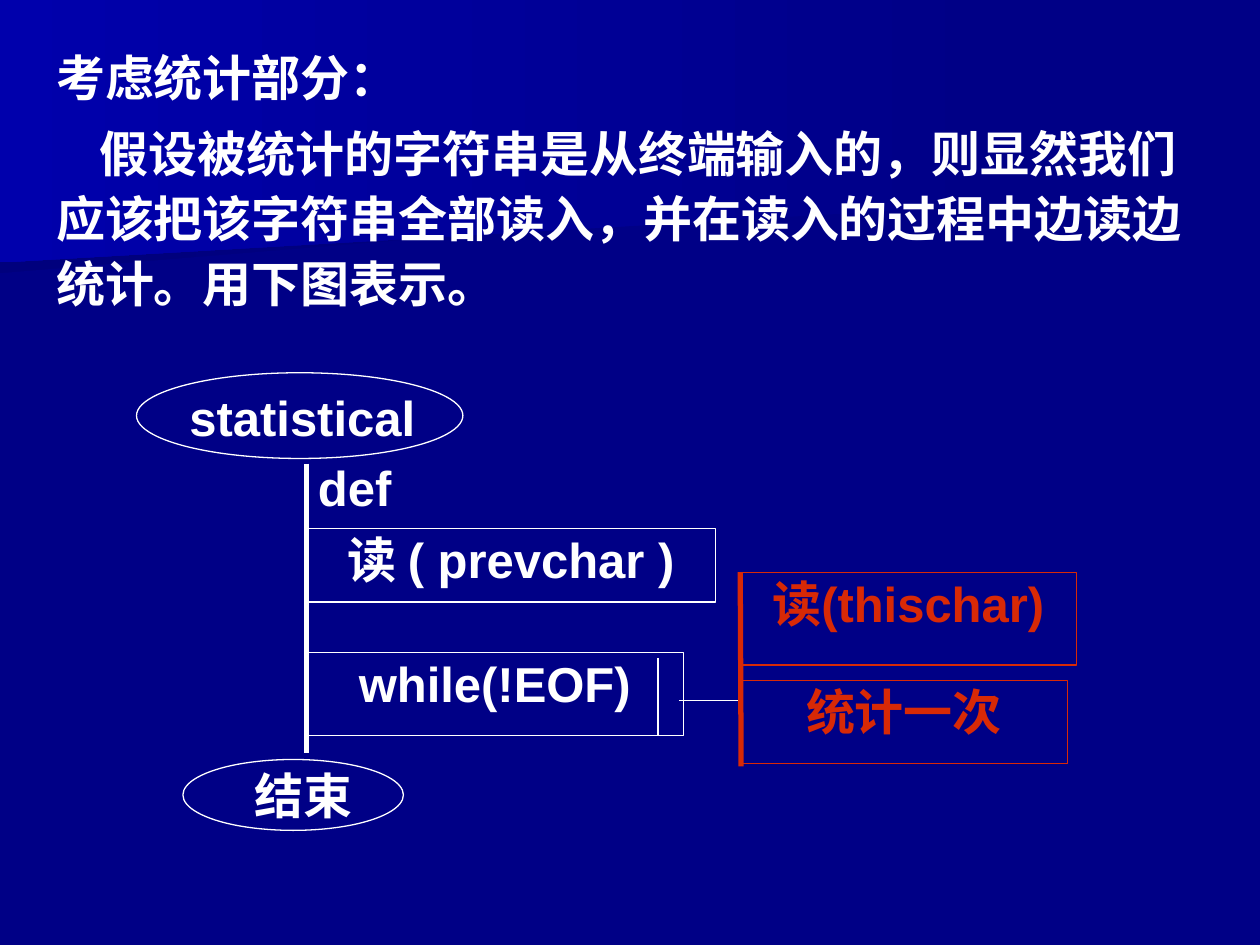
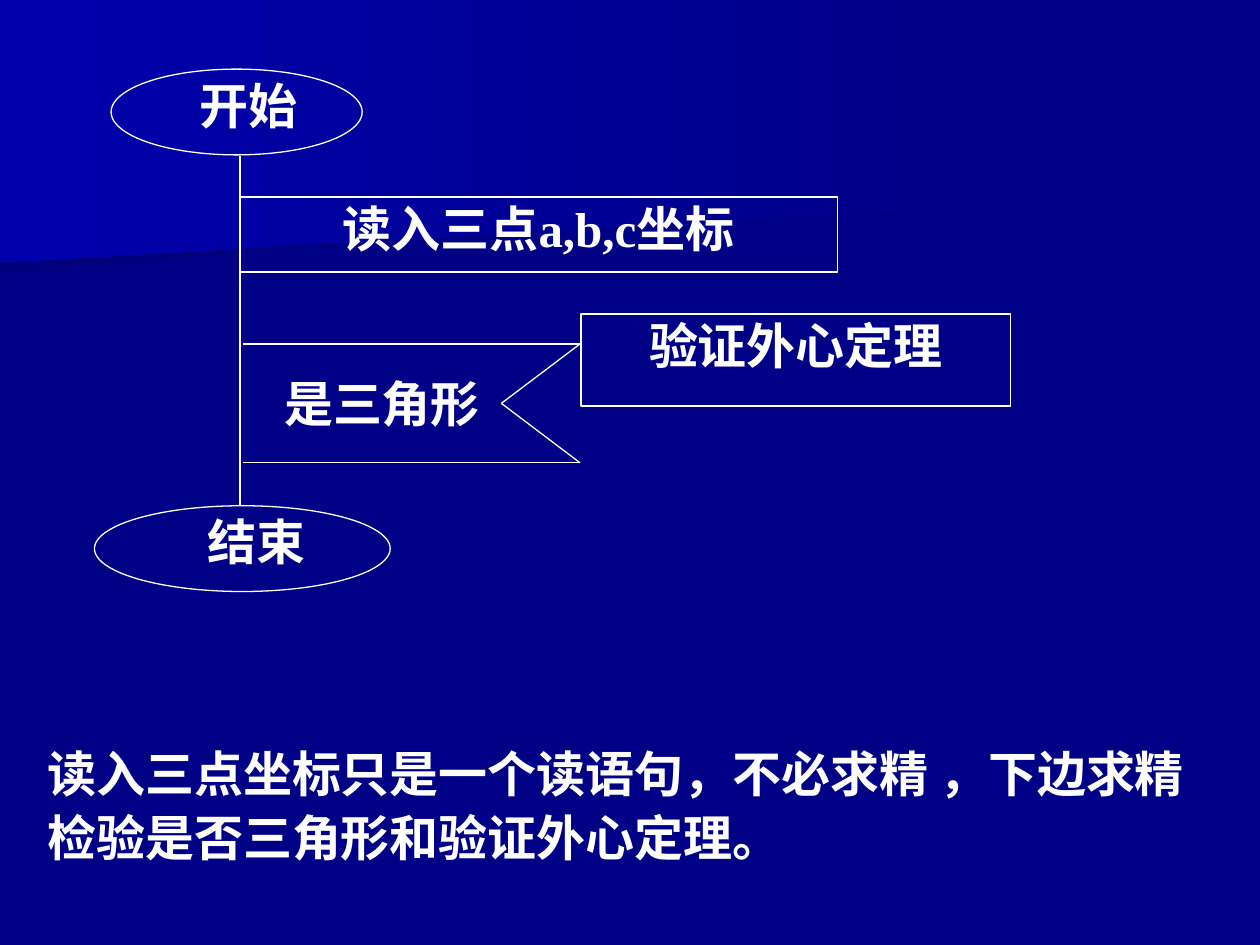
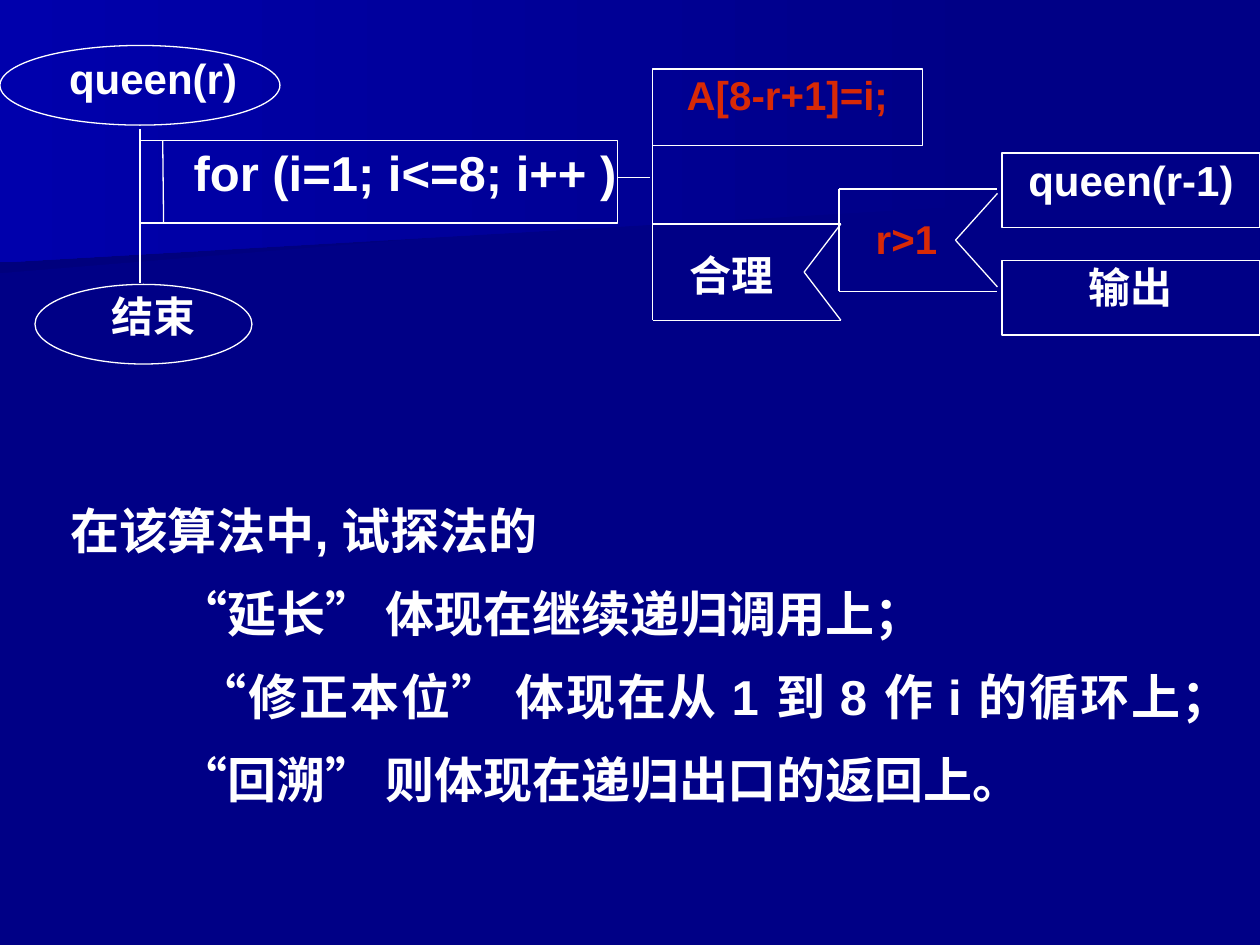
"""Builds three slides of PAD flow diagrams with explanatory text."""

from dataclasses import dataclass
from typing import NamedTuple

from lxml.etree import SubElement
from pptx import Presentation
from pptx.dml.color import RGBColor
from pptx.enum.shapes import MSO_CONNECTOR, MSO_SHAPE
from pptx.enum.text import MSO_ANCHOR, PP_ALIGN
from pptx.oxml.ns import qn
from pptx.presentation import Presentation as PresentationType
from pptx.shapes.base import BaseShape
from pptx.slide import Slide
from pptx.util import Pt


@dataclass(frozen=True)
class Theme:
    background: RGBColor = RGBColor(0x00, 0x00, 0x86)
    band_dark: RGBColor = RGBColor(0x00, 0x00, 0x7D)
    band_bright: RGBColor = RGBColor(0x00, 0x00, 0xAC)
    white: RGBColor = RGBColor(0xFF, 0xFF, 0xFF)
    red: RGBColor = RGBColor(0xD8, 0x29, 0x06)
    sans: str = "Arial"
    serif: str = "Times New Roman"
    body: str = "Roboto"
    large: float = 28
    medium: float = 24
    small: float = 23
    thin: float = 0.75
    spine: float = 1
    thick: float = 3


THEME = Theme()


class Area(NamedTuple):
    left: float
    top: float
    width: float
    height: float


@dataclass(frozen=True)
class Lettering:
    font: str = THEME.sans
    size: float = THEME.large
    color: RGBColor = THEME.white


SANS = Lettering()
SERIF = Lettering(THEME.serif)
MEDIUM = Lettering(size=THEME.medium)
SMALL_RED = Lettering(size=THEME.small, color=THEME.red)
RED = Lettering(color=THEME.red)


@dataclass(frozen=True)
class Label:
    text: str
    area: Area
    lettering: Lettering = SANS
    alignment: PP_ALIGN = PP_ALIGN.CENTER


@dataclass(frozen=True)
class Box(Label):
    outline: RGBColor = THEME.white


@dataclass(frozen=True)
class Terminal:
    label: Label
    oval: Area


@dataclass(frozen=True)
class Stroke:
    start: tuple[float, float]
    end: tuple[float, float]
    width: float = THEME.thin
    color: RGBColor = THEME.white


@dataclass(frozen=True)
class Decision:
    label: Label
    left: float
    top: float
    right: float
    bottom: float
    notch: float
    inset: float = 0
    closed: bool = False


@dataclass(frozen=True)
class Passage:
    area: Area
    lines: tuple[tuple[str, float], ...]
    lettering: Lettering = SANS
    alignment: PP_ALIGN = PP_ALIGN.LEFT
    line_spacing: float = 1.1
    space_before: float = 3.5
    space_after: float = 3.5
    anchor: MSO_ANCHOR = MSO_ANCHOR.TOP


Element = Label | Terminal | Stroke | Decision | Passage


def place(area: Area) -> tuple[Pt, ...]:
    """Convert an area to lengths."""
    return tuple(Pt(value) for value in area)


def write(shape: BaseShape, lines: list[str], lettering: Lettering, alignment: PP_ALIGN) -> None:
    """Fill a shape with bold paragraphs of one lettering."""
    frame = shape.text_frame
    frame.word_wrap = True
    frame.text = "\n".join(lines)
    for paragraph in frame.paragraphs:
        paragraph.alignment = alignment
        paragraph.font.name = lettering.font
        paragraph.font.size = Pt(lettering.size)
        paragraph.font.bold = True
        paragraph.font.color.rgb = lettering.color


def write_label(shape: BaseShape, label: Label) -> None:
    """Write a label at the top of a shape with narrow margins."""
    frame = shape.text_frame
    frame.margin_left = frame.margin_right = frame.margin_top = frame.margin_bottom = Pt(0.7)
    frame.vertical_anchor = MSO_ANCHOR.TOP
    write(shape, [label.text], label.lettering, label.alignment)


def draw_label(slide: Slide, label: Label) -> None:
    """Draw a label without an outline."""
    write_label(slide.shapes.add_textbox(*place(label.area)), label)


def draw_outline(slide: Slide, kind: MSO_SHAPE, area: Area, color: RGBColor) -> BaseShape:
    """Draw an unfilled preset shape."""
    shape = slide.shapes.add_shape(kind, *place(area))
    shape.shadow.inherit = False
    shape.fill.background()
    shape.line.color.rgb = color
    shape.line.width = Pt(THEME.thin)
    return shape


def draw_box(slide: Slide, box: Box) -> None:
    """Draw an outlined statement box."""
    write_label(draw_outline(slide, MSO_SHAPE.RECTANGLE, box.area, box.outline), box)


def draw_terminal(slide: Slide, terminal: Terminal) -> None:
    """Draw a start or end oval with its label."""
    draw_label(slide, terminal.label)
    draw_outline(slide, MSO_SHAPE.OVAL, terminal.oval, THEME.white)


def draw_stroke(slide: Slide, stroke: Stroke) -> None:
    """Draw a straight line."""
    ends = [Pt(value) for value in (*stroke.start, *stroke.end)]
    connector = slide.shapes.add_connector(MSO_CONNECTOR.STRAIGHT, *ends)
    connector.line.color.rgb = stroke.color
    connector.line.width = Pt(stroke.width)
    SubElement(connector.element.spPr, qn("a:effectLst"))


def draw_decision(slide: Slide, decision: Decision) -> None:
    """Draw a branch whose right side is notched."""
    left, top, right, bottom = decision.left, decision.top, decision.right, decision.bottom
    tip = (decision.notch, (top + bottom) / 2)
    strokes = [
        Stroke((left, top), (right, top)),
        Stroke((right, top + decision.inset), tip),
        Stroke((left, bottom), (right, bottom)),
        Stroke((right, bottom - decision.inset), tip),
    ]
    if decision.closed:
        strokes.append(Stroke((left, top), (left, bottom)))
    for stroke in strokes:
        draw_stroke(slide, stroke)
    draw_label(slide, decision.label)


def draw_passage(slide: Slide, passage: Passage) -> None:
    """Draw running text with first-line indents."""
    shape = slide.shapes.add_textbox(*place(passage.area))
    shape.text_frame.vertical_anchor = passage.anchor
    write(shape, [text for text, _ in passage.lines], passage.lettering, passage.alignment)
    for number, paragraph in enumerate(shape.text_frame.paragraphs):
        paragraph.line_spacing = passage.line_spacing
        paragraph.space_before = Pt(passage.space_before if number else 0)
        paragraph.space_after = Pt(passage.space_after)
        indent = Pt(passage.lines[number][1])
        paragraph._p.get_or_add_pPr().set("indent", str(int(indent)))


DRAWERS = {
    Label: draw_label,
    Box: draw_box,
    Terminal: draw_terminal,
    Stroke: draw_stroke,
    Decision: draw_decision,
    Passage: draw_passage,
}

BANDS = (
    (THEME.band_dark, ((560, 110), (0, 156), (0, 73), (561, 73), (560, 92))),
    (THEME.band_bright, ((570, 117), (0, 150), (0, 0), (570, 0))),
)

STATISTICS: tuple[Element, ...] = (
    Passage(
        Area(25, 20, 669, 162),
        (
            ("考虑统计部分：", 0),
            ("假设被统计的字符串是从终端输入的，则显然我们应该把该字符串全部读入，"
             "并在读入的过程中边读边统计。用下图表示。", 25),
        ),
        Lettering(THEME.body),
    ),
    Box("读 ( prevchar )", Area(175, 302, 234, 42)),
    Terminal(Label("statistical", Area(70.5, 220.5, 204.5, 46)), Area(78, 213, 186.5, 49)),
    Box("while(!EOF)", Area(175, 373, 215.5, 47.5)),
    Box("统计一次", Area(423, 389, 187, 47.5), RED, outline=THEME.red),
    Stroke((388, 400.5), (423, 400.5)),
    Terminal(Label("结束", Area(104.5, 436.5, 137.5, 37.5)), Area(104.5, 434, 126, 40.5)),
    Stroke((175, 265), (175, 430.5), THEME.thick),
    Label("def", Area(181, 260.5, 91.5, 44.5), alignment=PP_ALIGN.LEFT),
    Box("读(thischar)", Area(423, 327, 192, 53), RED, outline=THEME.red),
    Stroke((423, 327), (423.5, 438), THEME.thick, THEME.red),
    Stroke((376, 376), (376, 420)),
)

TRIANGLE: tuple[Element, ...] = (
    Terminal(Label("开始", Area(63.5, 42.5, 156.5, 46), SERIF), Area(63.5, 39.5, 143.5, 49)),
    Stroke((137, 89), (137, 289), THEME.spine),
    Box("验证外心定理", Area(332, 179.5, 245.5, 52.5), SERIF),
    Terminal(Label("结束", Area(54, 291.5, 185, 46), SERIF), Area(54, 289, 169, 49)),
    Decision(
        Label("是三角形", Area(144.5, 213, 147.5, 43), SERIF),
        left=139, top=196.5, right=331.5, bottom=264.5, notch=286.5,
    ),
    Box("读入三点a,b,c坐标", Area(137, 112.5, 341.5, 43), SERIF),
    Passage(
        Area(20, 417.5, 680.5, 81.5),
        (("读入三点坐标只是一个读语句，不必求精 ，下边求精检验是否三角形和验证外心定理。", 0),),
        anchor=MSO_ANCHOR.MIDDLE,
    ),
)

QUEENS: tuple[Element, ...] = (
    Terminal(Label("queen(r)", Area(0, 29, 175, 42.5), MEDIUM), Area(0, 26, 160, 45.5)),
    Stroke((80, 74), (80, 161.5), THEME.spine),
    Terminal(Label("结束", Area(20, 165.5, 135.5, 42.5), MEDIUM), Area(20, 162.5, 124, 45.5)),
    Box("for (i=1; i<=8; i++ )", Area(80, 80.5, 273, 47), alignment=PP_ALIGN.RIGHT),
    Stroke((93, 80.5), (93.5, 127.5)),
    Box("queen(r-1)", Area(572.5, 87.5, 147.5, 42.5), MEDIUM),
    Box("A[8-r+1]=i;", Area(373, 39.5, 154, 43.5), SMALL_RED),
    Stroke((373, 39.5), (373, 183)),
    Decision(
        Label("合理", Area(379.5, 142, 77, 35.5), MEDIUM),
        left=373, top=128, right=480.5, bottom=183, notch=459.5,
    ),
    Box("输出", Area(572.5, 149, 147.5, 42.5), MEDIUM),
    Stroke((353, 101.5), (371.5, 101.5)),
    Decision(
        Label("r>1", Area(479.5, 121.5, 77, 35.5), SMALL_RED),
        left=479.5, top=108, right=570, bottom=166.5, notch=546, inset=2.5, closed=True,
    ),
    Passage(
        Area(25, 276, 657.5, 232.5),
        (
            ("在该算法中, 试探法的", 8),
            ("“延长” 体现在继续递归调用上；", 70),
            ("“修正本位” 体现在从 1 到 8 作 i 的循环上；", 81),
            ("“回溯” 则体现在递归出口的返回上。", 70),
        ),
        alignment=PP_ALIGN.JUSTIFY,
        line_spacing=1.2,
        space_before=7,
        space_after=0,
    ),
)


def decorate_master(presentation: PresentationType, slide: Slide) -> None:
    """Give the master its background and the two gradient bands."""
    master = presentation.slide_master
    master.background.fill.solid()
    master.background.fill.fore_color.rgb = THEME.background
    for number, (color, corners) in enumerate(BANDS):
        start, *others = [(Pt(x), Pt(y)) for x, y in corners]
        builder = slide.shapes.build_freeform(*start)
        builder.add_line_segments(others, close=True)
        band = builder.convert_to_shape()
        band.shadow.inherit = False
        band.line.fill.background()
        band.fill.gradient()
        band.fill.gradient_angle = 180
        for stop, stop_color in zip(band.fill.gradient_stops, (THEME.background, color)):
            stop.color.rgb = stop_color
        for stop, position in zip(band.fill.gradient_stops, (0, 1)):
            stop.position = position
        band.element.nvSpPr.cNvPr.set("id", str(101 + number))
        master.shapes.element.insert(2 + number, band.element)


def main() -> None:
    """Build and save the presentation."""
    presentation = Presentation()
    presentation.slide_width, presentation.slide_height = Pt(720), Pt(540)
    blank_layout = presentation.slide_layouts.get_by_name("Blank")
    for number, elements in enumerate((STATISTICS, TRIANGLE, QUEENS)):
        slide = presentation.slides.add_slide(blank_layout)
        if number == 0:
            decorate_master(presentation, slide)
        for element in elements:
            DRAWERS[type(element)](slide, element)
    presentation.save("out.pptx")


if __name__ == "__main__":
    main()
